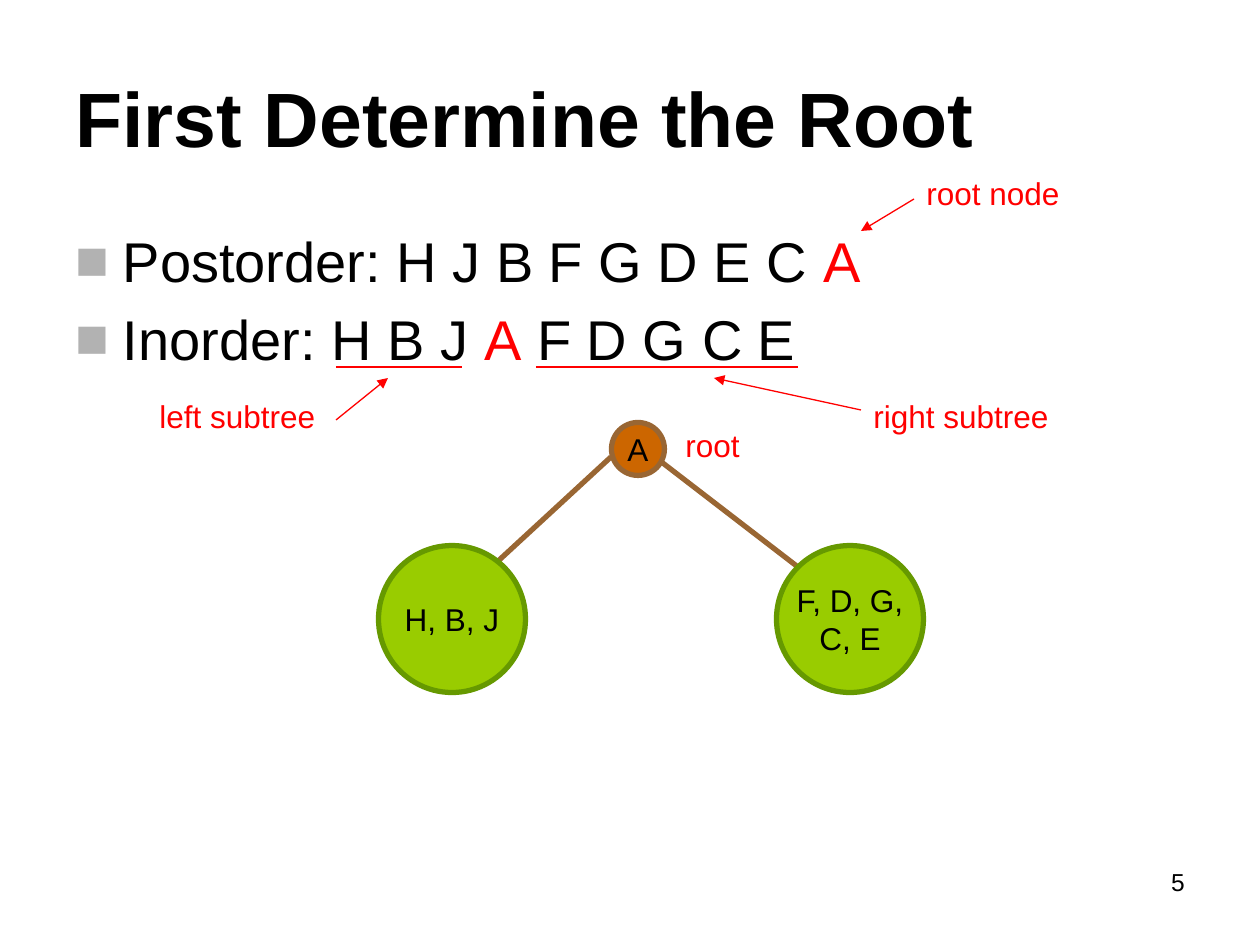
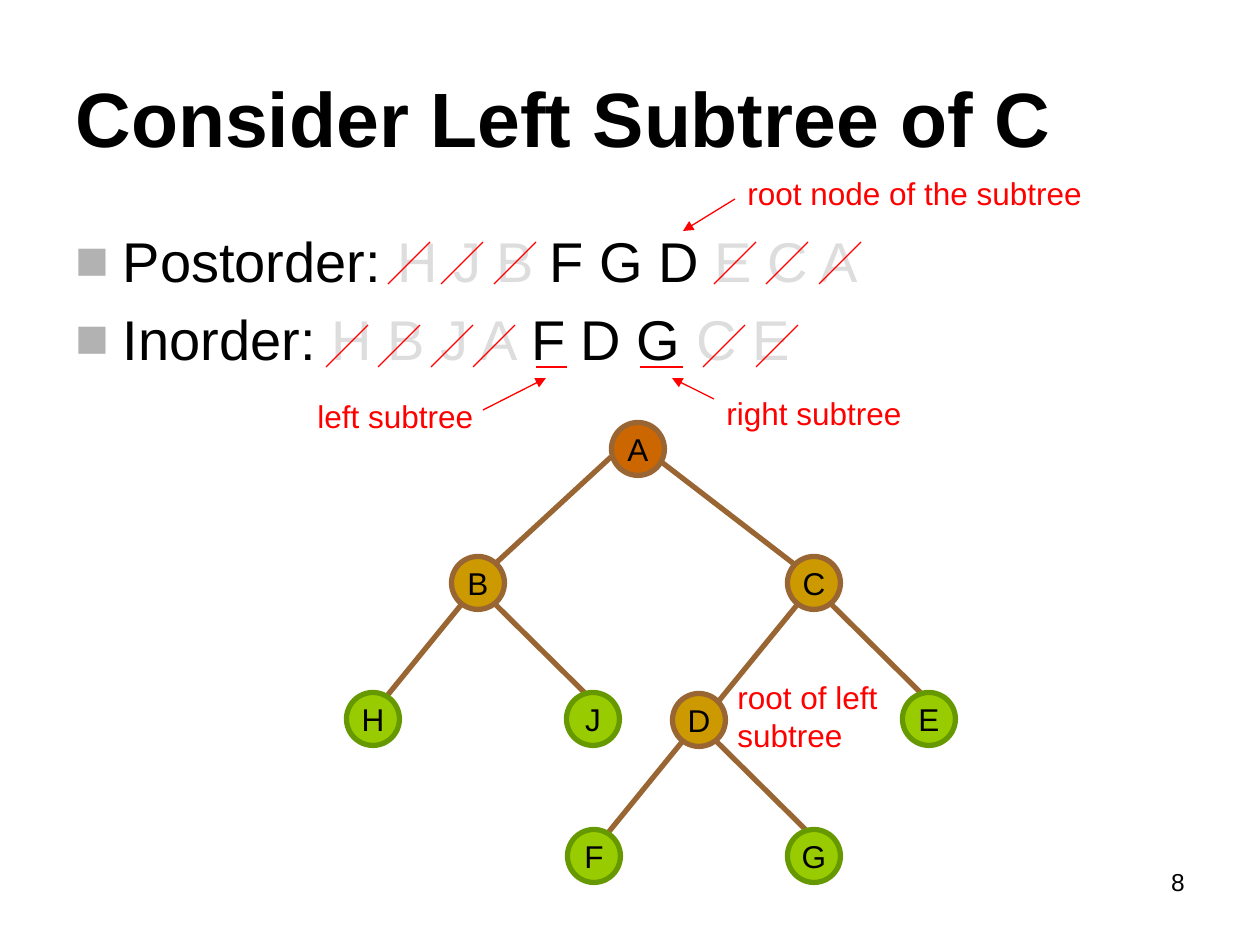
"""Build two slides on rebuilding a binary tree from its traversals."""
import dataclasses

import pptx
import pptx.dml.color
import pptx.enum.shapes
import pptx.enum.text
import pptx.oxml
import pptx.oxml.ns
import pptx.util

EMU_PER_PX = 914400 / 126


@dataclasses.dataclass(frozen=True)
class Theme:
    """Colours, type sizes and line widths shared by the slides."""
    font: str = "Arial"
    text: str = "000000"
    accent: str = "FF0000"
    faded: str = "DDDDDD"
    bullet: str = "B2B2B2"
    branch: str = "996633"
    root_fill: str = "CC6600"
    inner_fill: str = "CC9900"
    leaf_fill: str = "99CC00"
    leaf_line: str = "669900"
    title_size: int = 44
    body_size: int = 32
    label_size: int = 18
    number_size: int = 14
    thick: float = 3
    thin: float = 0.75


THEME = Theme()
NODE_SIZE = 53
GROUP_SIZE = 147
STRIKE_SIZE = 42
UNDERLINE_Y = 367
ROOT = (638, 449)


def px(length):
    """Turn px into EMU."""
    return pptx.util.Emu(round(length * EMU_PER_PX))


def rgb(colour):
    """Turn a hex string into a colour."""
    return pptx.dml.color.RGBColor.from_string(colour)


def format_run(run, size, colour, bold=False):
    """Give a run its font, size, colour and weight."""
    run.font.name = THEME.font
    run.font.size = pptx.util.Pt(size)
    run.font.color.rgb = rgb(colour)
    run.font.bold = bold


def format_text(text_frame, size, colour, alignment, bold=False):
    """Format every paragraph of a text frame alike."""
    for paragraph in text_frame.paragraphs:
        paragraph.alignment = alignment
        for run in paragraph.runs:
            format_run(run, size, colour, bold)


def place(shape, left, top, width, height):
    """Move and size a shape in px."""
    shape.left, shape.top = px(left), px(top)
    shape.width, shape.height = px(width), px(height)


def add_title(slide, text):
    """Fill the title placeholder."""
    title = slide.shapes.title
    place(title, 63, 38, 1134, 157)
    title.text_frame.text = text
    title.text_frame.vertical_anchor = pptx.enum.text.MSO_ANCHOR.MIDDLE
    format_text(title.text_frame, THEME.title_size, THEME.text,
                pptx.enum.text.PP_ALIGN.LEFT, bold=True)


def set_bullet(paragraph):
    """Give a paragraph a grey square bullet."""
    namespace = pptx.oxml.ns.nsdecls("a")
    properties = paragraph._p.get_or_add_pPr()
    for xml in (
        f'<a:buClr {namespace}><a:srgbClr val="{THEME.bullet}"/></a:buClr>',
        f'<a:buChar {namespace} char="■"/>',
    ):
        properties.append(pptx.oxml.parse_xml(xml))


def add_traversals(slide, traversals):
    """Fill the body placeholder with one bullet of coloured runs per traversal."""
    body = slide.placeholders[1]
    place(body, 63, 220, 1134, 624)
    text_frame = body.text_frame
    text_frame.auto_size = pptx.enum.text.MSO_AUTO_SIZE.NONE
    for index, parts in enumerate(traversals):
        paragraph = text_frame.paragraphs[0] if index == 0 else text_frame.add_paragraph()
        set_bullet(paragraph)
        for text, colour in parts:
            run = paragraph.add_run()
            run.text = text
            format_run(run, THEME.body_size, colour)


def add_text(slide, text, box, size, colour, alignment=pptx.enum.text.PP_ALIGN.LEFT):
    """Add a wrapped text box."""
    text_box = slide.shapes.add_textbox(*map(px, box))
    text_box.text_frame.word_wrap = True
    text_box.text_frame.text = text
    format_text(text_box.text_frame, size, colour, alignment)


def add_label(slide, text, left, top, width, height=50):
    """Add a red label."""
    add_text(slide, text, (left, top, width, height), THEME.label_size, THEME.accent)


def add_line(slide, start, end, colour=THEME.accent, width=THEME.thin, arrow=False):
    """Add a straight line, with an arrowhead at its end if asked."""
    connector = slide.shapes.add_connector(
        pptx.enum.shapes.MSO_CONNECTOR.STRAIGHT, *map(px, (*start, *end)))
    connector.line.color.rgb = rgb(colour)
    connector.line.width = pptx.util.Pt(width)
    namespace = pptx.oxml.ns.nsdecls("a")
    properties = connector.element.spPr
    if arrow:
        outline = properties.find(pptx.oxml.ns.qn("a:ln"))
        outline.append(pptx.oxml.parse_xml(f'<a:tailEnd {namespace} type="triangle"/>'))
    properties.append(pptx.oxml.parse_xml(f"<a:effectLst {namespace}/>"))


def add_underline(slide, left, right):
    """Underline part of the inorder traversal."""
    add_line(slide, (left, UNDERLINE_Y), (right, UNDERLINE_Y))


def add_strikes(slide, bottom, lefts):
    """Strike out letters with rising diagonals."""
    for left in lefts:
        add_line(slide, (left, bottom), (left + STRIKE_SIZE, bottom - STRIKE_SIZE))


def add_branch(slide, start, end):
    """Add a thick brown tree branch."""
    add_line(slide, start, end, THEME.branch, THEME.thick)


def add_root_branches(slide):
    """Add the two branches under the root."""
    add_branch(slide, (611, 457), (496, 563))
    add_branch(slide, (655, 457), (798, 567))


def add_child_branches(slide, parent):
    """Add the two branches under an inner node."""
    x, y = parent
    add_branch(slide, (x - 17, y + 22), (x - 96, y + 119))
    add_branch(slide, (x + 18, y + 22), (x + 107, y + 110))


def add_node(slide, text, center, fill, line=THEME.branch, size=NODE_SIZE):
    """Add a round tree node about its centre."""
    x, y = center
    node = slide.shapes.add_shape(
        pptx.enum.shapes.MSO_SHAPE.OVAL,
        *map(px, (x - size / 2, y - size / 2, size, size)))
    node.shadow.inherit = False
    node.fill.solid()
    node.fill.fore_color.rgb = rgb(fill)
    node.line.color.rgb = rgb(line)
    node.line.width = pptx.util.Pt(THEME.thick)
    node.text_frame.word_wrap = False
    node.text_frame.vertical_anchor = pptx.enum.text.MSO_ANCHOR.MIDDLE
    node.text_frame.text = text
    format_text(node.text_frame, THEME.label_size, THEME.text,
                pptx.enum.text.PP_ALIGN.CENTER)


def add_leaf(slide, text, center, size=NODE_SIZE):
    """Add a green node."""
    add_node(slide, text, center, THEME.leaf_fill, THEME.leaf_line, size)


def add_tree_slide(presentation, number, title, traversals):
    """Add a slide with its title, traversals, number and tree root."""
    slide = presentation.slides.add_slide(presentation.slide_layouts[1])
    add_title(slide, title)
    add_traversals(slide, traversals)
    add_text(slide, str(number), (903, 861, 294, 66), THEME.number_size, THEME.text,
             pptx.enum.text.PP_ALIGN.RIGHT)
    add_root_branches(slide)
    add_node(slide, "A", ROOT, THEME.root_fill)
    return slide


def build_root_slide(presentation):
    """Show how the root splits the inorder traversal."""
    slide = add_tree_slide(presentation, 5, "First Determine the Root", [
        [("Postorder: H J B F G D E C ", THEME.text), ("A", THEME.accent)],
        [("Inorder: H B J ", THEME.text), ("A", THEME.accent),
         (" F D G C E", THEME.text)],
    ])
    add_leaf(slide, "H, B, J", (452, 619), GROUP_SIZE)
    add_leaf(slide, "F, D, G,\nC, E", (850, 619), GROUP_SIZE)
    add_label(slide, "root", 673, 420, 168)
    add_label(slide, "root node", 914, 168, 210)
    add_label(slide, "right subtree", 861, 391, 220)
    add_label(slide, "left subtree", 147, 391, 220)
    add_line(slide, (914, 199), (861, 231), arrow=True)
    add_line(slide, (861, 410), (714, 378), arrow=True)
    add_line(slide, (336, 420), (388, 378), arrow=True)
    add_underline(slide, 336, 462)
    add_underline(slide, 536, 798)


def build_subtree_slide(presentation):
    """Show the full tree once the left subtree of C is split."""
    slide = add_tree_slide(presentation, 8, "Consider Left Subtree of C", [
        [("Postorder: ", THEME.text), ("H J B", THEME.faded),
         (" F G D ", THEME.text), ("E C A", THEME.faded)],
        [("Inorder: ", THEME.text), ("H B J A ", THEME.faded),
         ("F D G ", THEME.text), ("C E", THEME.faded)],
    ])
    inner_nodes = {"B": (478, 583), "C": (814, 583), "D": (699, 720)}
    leaves = {"H": (373, 719), "J": (593, 719), "E": (929, 719),
              "F": (594, 856), "G": (814, 856)}
    for center in inner_nodes.values():
        add_child_branches(slide, center)
    for letter, center in inner_nodes.items():
        add_node(slide, letter, center, THEME.inner_fill)
    for letter, center in leaves.items():
        add_leaf(slide, letter, center)
    add_label(slide, "root node of the subtree", 735, 168, 388)
    add_label(slide, "right subtree", 714, 388, 220)
    add_label(slide, "left subtree", 305, 391, 220)
    add_label(slide, "root of left subtree", 725, 672, 189, 88)
    add_line(slide, (735, 199), (683, 231), arrow=True)
    add_line(slide, (714, 399), (672, 378), arrow=True)
    add_line(slide, (483, 410), (546, 378), arrow=True)
    add_underline(slide, 536, 567)
    add_underline(slide, 640, 683)
    add_strikes(slide, 284, (388, 441, 494, 714, 766, 819))
    add_strikes(slide, UNDERLINE_Y, (326, 378, 431, 473, 703, 756))


def main():
    """Build and save the presentation."""
    presentation = pptx.Presentation()
    presentation.slide_width, presentation.slide_height = px(1260), px(945)
    build_root_slide(presentation)
    build_subtree_slide(presentation)
    presentation.save("out.pptx")


if __name__ == "__main__":
    main()
